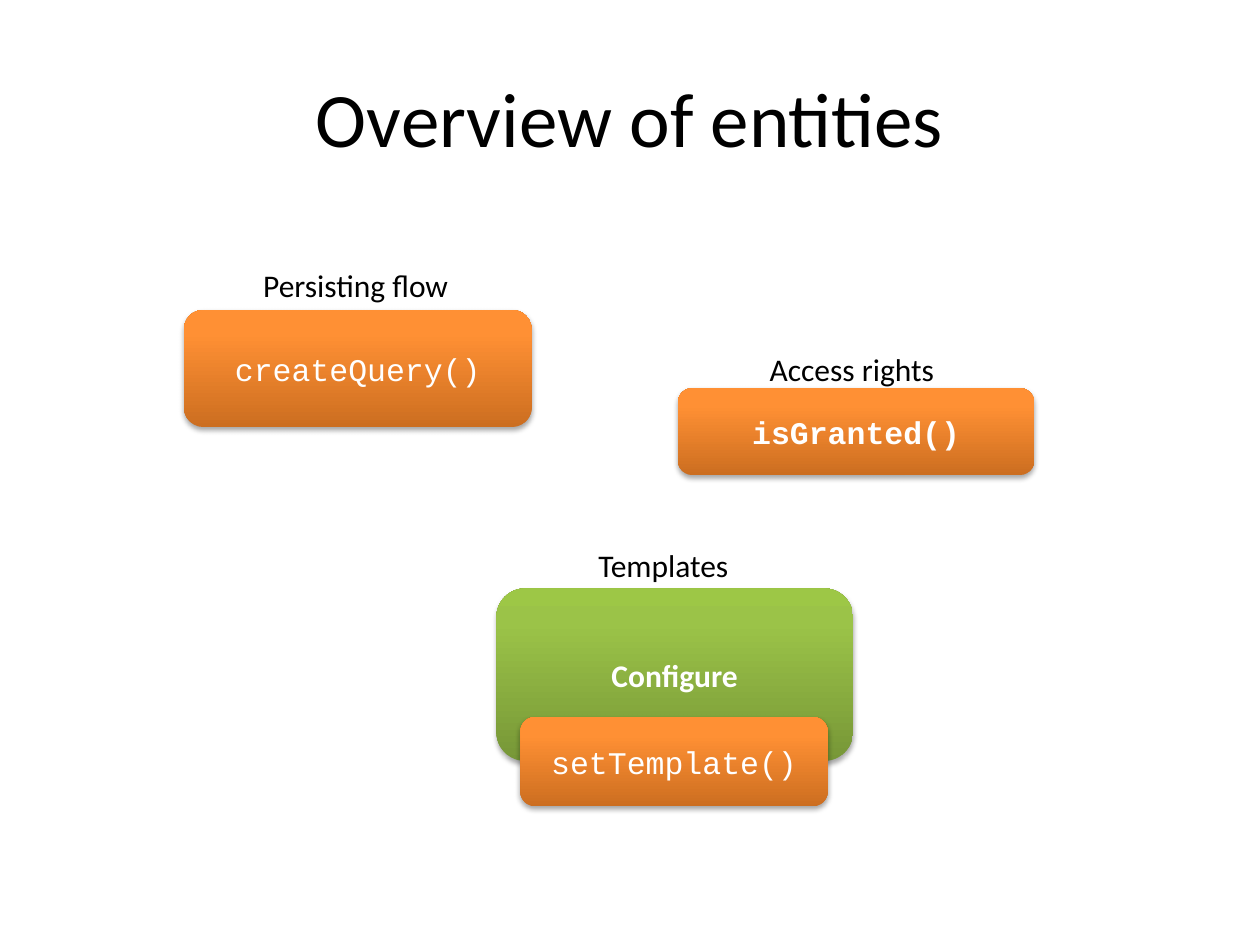
from copy import deepcopy
from dataclasses import dataclass

from pptx import Presentation
from pptx.dml.color import RGBColor
from pptx.enum.shapes import MSO_SHAPE
from pptx.enum.text import MSO_ANCHOR, MSO_AUTO_SIZE, PP_ALIGN
from pptx.oxml import parse_xml
from pptx.oxml.ns import nsdecls, qn
from pptx.util import Inches, Pt


@dataclass(frozen=True)
class Theme:
    text: str = "000000"
    inverse: str = "FFFFFF"
    orange: tuple = ((0, "CC6E20"), (80, "FF9034"), (100, "FF9136"))
    green: tuple = ((0, "779737"), (80, "9BC348"), (100, "9DC746"))
    body_font: str = "Calibri"
    code_font: str = "Courier New"
    title_size: int = 44
    body_size: int = 18


THEME = Theme()


def write(tf, text, font=THEME.body_font, size=THEME.body_size,
          color=THEME.text, bold=False, align=PP_ALIGN.LEFT):
    p = tf.paragraphs[0]
    p.alignment = align
    r = p.add_run()
    r.text = text
    r.font.name = font
    r.font.size = Pt(size)
    r.font.bold = bold
    r.font.color.rgb = RGBColor.from_string(color)


def fill_gradient(sp, stops):
    """Fill from the bottom edge up with (percent, colour) stops."""
    sp.fill.gradient()
    sp.fill.gradient_angle = 90
    stop_list = sp._element.spPr.find(qn("a:gradFill")).find(qn("a:gsLst"))
    stop_list.append(deepcopy(stop_list[-1]))
    for stop, (percent, color) in zip(sp.fill.gradient_stops, stops):
        stop.position = percent / 100
        stop.color.rgb = RGBColor.from_string(color)


def drop_shadow(sp):
    sp.shadow.inherit = False
    sp._element.spPr.find(qn("a:effectLst")).append(parse_xml(
        f'<a:outerShdw {nsdecls("a")} blurRad="{Pt(3.1)}" dist="{Pt(1.8)}" '
        'dir="5400000" rotWithShape="0"><a:srgbClr val="000000">'
        '<a:alpha val="35000"/></a:srgbClr></a:outerShdw>'))


class Deck:
    """Places elements by left, top, width and height in percent of the slide."""

    def __init__(self, theme):
        self.theme = theme
        self.prs = Presentation()
        self.prs.slide_width, self.prs.slide_height = Inches(10), Inches(7.5)
        self.s = None

    def box(self, left, top, width, height):
        w, h = self.prs.slide_width, self.prs.slide_height
        return [round(share * side / 100) for share, side in
                zip((left, top, width, height), (w, h, w, h))]

    def title_slide(self, text, place):
        self.s = self.prs.slides.add_slide(self.prs.slide_layouts[5])
        sp = self.s.shapes.title
        sp.left, sp.top, sp.width, sp.height = self.box(*place)
        sp.text_frame.vertical_anchor = MSO_ANCHOR.MIDDLE
        write(sp.text_frame, text, size=self.theme.title_size,
              align=PP_ALIGN.CENTER)

    def label(self, text, place):
        tf = self.s.shapes.add_textbox(*self.box(*place)).text_frame
        tf.word_wrap = False
        tf.auto_size = MSO_AUTO_SIZE.SHAPE_TO_FIT_TEXT
        write(tf, text)

    def card(self, text, place, stops, **text_format):
        sp = self.s.shapes.add_shape(MSO_SHAPE.ROUNDED_RECTANGLE,
                                     *self.box(*place))
        fill_gradient(sp, stops)
        sp.line.fill.background()
        drop_shadow(sp)
        sp.text_frame.vertical_anchor = MSO_ANCHOR.MIDDLE
        write(sp.text_frame, text, color=self.theme.inverse,
              align=PP_ALIGN.CENTER, **text_format)

    def method_card(self, text, place, bold=False):
        self.card(text, place, self.theme.orange,
                  font=self.theme.code_font, bold=bold)


def main():
    deck = Deck(THEME)
    deck.title_slide("Overview of entities", (5, 4, 90, 16.67))

    deck.method_card("createQuery()", (14.6, 32.8, 27.6, 12.4))
    deck.label("Persisting flow", (19.9, 27.47, 16.9, 5.33))

    deck.card("Configure", (39.4, 62.27, 28.3, 18.27), THEME.green, bold=True)
    deck.method_card("setTemplate()", (41.3, 75.87, 24.4, 9.47))
    deck.label("Templates", (46.5, 57.07, 12.5, 5.33))

    deck.method_card("isGranted()", (53.8, 41.07, 28.3, 9.2), bold=True)
    deck.label("Access rights", (60.1, 36.4, 15.2, 5.33))

    deck.prs.save("out.pptx")


if __name__ == "__main__":
    main()
